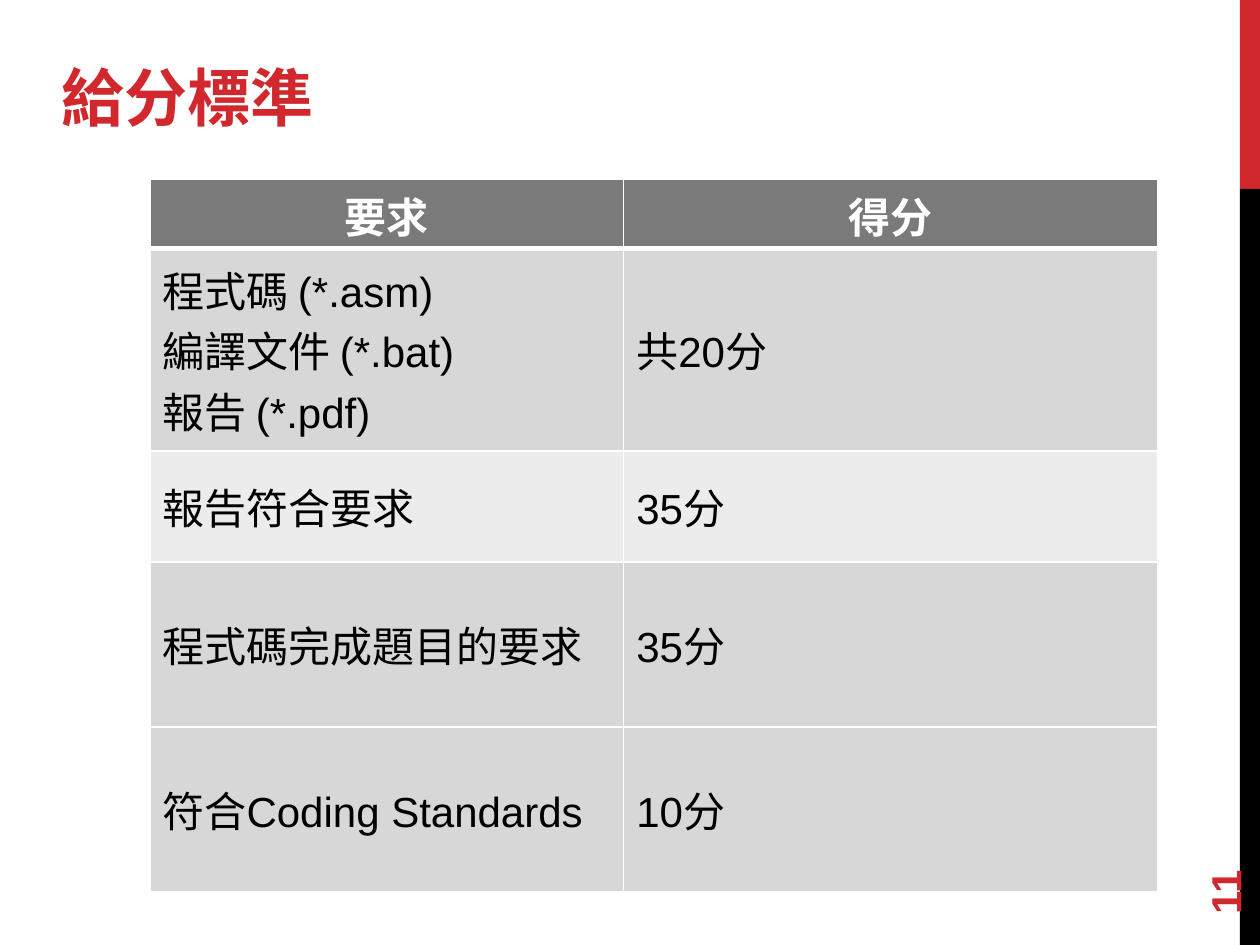
from lxml import etree
from pptx import Presentation
from pptx.dml.color import RGBColor
from pptx.enum.shapes import MSO_SHAPE
from pptx.enum.text import MSO_ANCHOR, PP_ALIGN
from pptx.oxml.ns import qn
from pptx.util import Inches, Pt

COLORS = {"red": "D1282E", "black": "000000", "white": "FFFFFF",
          "header": "7A7A7A", "band": "D7D7D7", "light": "ECECEC"}
COLS, ROWS = 100, 75


def rgb(name):
    """Return the named colour."""
    return RGBColor.from_string(COLORS[name])


class Deck:
    """Style and current slide; lengths are grid columns and rows."""

    def __init__(self, prs):
        """Add a blank slide and measure its grid."""
        self.s = prs.slides.add_slide(prs.slide_layouts[6])
        self.col = prs.slide_width / COLS
        self.row = prs.slide_height / ROWS

    def box(self, x, y, w, h):
        """Turn grid units into slide lengths."""
        return (round(x * self.col), round(y * self.row),
                round(w * self.col), round(h * self.row))

    def add_lines(self, tf, lines, size=24, font="Arial", color="black",
                  bold=False, align=PP_ALIGN.LEFT):
        """Add one paragraph per line."""
        for i, line in enumerate(lines):
            p = tf.paragraphs[0] if i == 0 else tf.add_paragraph()
            p.alignment = align
            r = p.add_run()
            r.text = line
            r.font.size, r.font.name, r.font.bold = Pt(size), font, bold
            r.font.color.rgb = rgb(color)

    def bar(self, x, y, w, h, color):
        """Draw a plain filled rectangle."""
        sp = self.s.shapes.add_shape(MSO_SHAPE.RECTANGLE, *self.box(x, y, w, h))
        sp.shadow.inherit = False
        sp.fill.solid()
        sp.fill.fore_color.rgb = rgb(color)
        sp.line.fill.background()

    def text(self, x, y, w, h, line, anchor, rotation=0, **style):
        """Add a one-line text box."""
        sp = self.s.shapes.add_textbox(*self.box(x, y, w, h))
        sp.rotation = rotation
        tf = sp.text_frame
        tf.word_wrap = True
        tf.vertical_anchor = anchor
        self.add_lines(tf, [line], **style)

    def borders(self, cell, **widths):
        """Give a cell white borders of the given point widths."""
        tc_pr = cell._tc.get_or_add_tcPr()
        for i, (side, width) in enumerate(widths.items()):
            ln = etree.Element(qn(f"a:ln{side}"), w=str(Pt(width)))
            fill = etree.SubElement(ln, qn("a:solidFill"))
            etree.SubElement(fill, qn("a:srgbClr"), val=COLORS["white"])
            tc_pr.insert(i, ln)

    def table(self, x, y, widths, heights, rows, fills):
        """Add a table whose first row is a header."""
        frame = self.s.shapes.add_table(
            len(heights), len(widths),
            *self.box(x, y, sum(widths), sum(heights)))
        tbl = frame.table
        for column, w in zip(tbl.columns, widths):
            column.width = round(w * self.col)
        for i, (h, row, fill) in enumerate(zip(heights, rows, fills)):
            tbl.rows[i].height = round(h * self.row)
            head = i == 0
            for j, lines in enumerate(row):
                cell = tbl.cell(i, j)
                cell.fill.solid()
                cell.fill.fore_color.rgb = rgb(fill)
                cell.vertical_anchor = MSO_ANCHOR.TOP if head else MSO_ANCHOR.MIDDLE
                self.add_lines(cell.text_frame, lines, bold=head,
                               color="white" if head else "black",
                               align=PP_ALIGN.CENTER if head else PP_ALIGN.LEFT)
                self.borders(cell, L=1, R=1, T=3 if i == 1 else 1,
                             B=3 if head else 1)


prs = Presentation()
prs.slide_width, prs.slide_height = Inches(10), Inches(7.5)
deck = Deck(prs)

deck.bar(98.4, 0, 1.6, 15, "red")
deck.bar(98.4, 15, 1.6, 60, "black")
deck.text(3.9, 2.7, 48.9, 8.4, "給分標準", MSO_ANCHOR.BOTTOM,
          size=36, font="Montserrat", color="red", bold=True)

criteria = [
    (["要求"], ["得分"]),
    (["程式碼 (*.asm)", "編譯文件 (*.bat)", "報告 (*.pdf)"], ["共20分"]),
    (["報告符合要求"], ["35分"]),
    (["程式碼完成題目的要求"], ["35分"]),
    (["符合Coding Standards"], ["10分"]),
]
deck.table(11.9, 14.2, [37.6, 42.4], [5.5, 16.1, 8.8, 13.1, 13.1], criteria,
           ["header", "band", "light", "band", "band"])
deck.text(90, 64.4, 14.4, 4, "11", MSO_ANCHOR.MIDDLE, rotation=270,
          color="red", bold=True)

prs.save("out.pptx")
